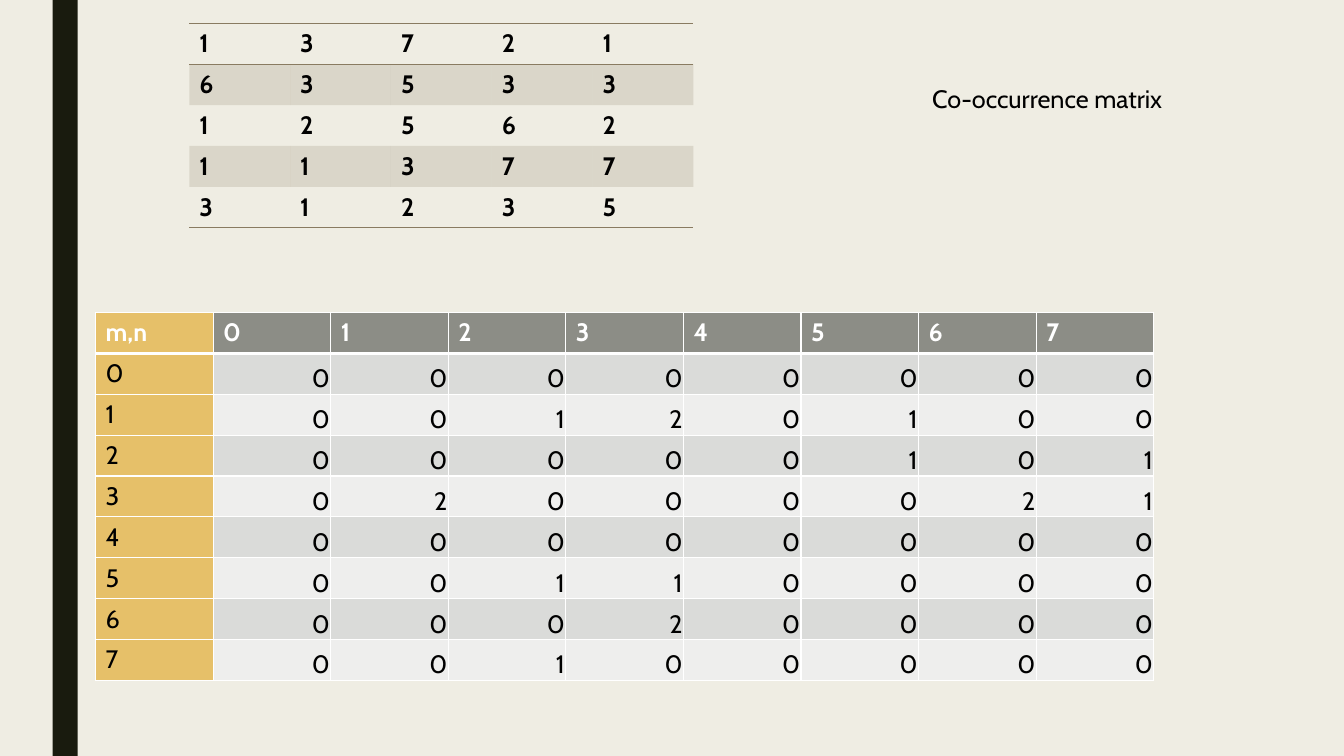
"""Build the co-occurrence matrix slide."""
from dataclasses import dataclass

from lxml import etree
from pptx import Presentation
from pptx import util as u
from pptx.dml.color import RGBColor
from pptx.enum import shapes, text
from pptx.oxml.ns import qn


@dataclass(frozen=True)
class Theme:
    font: str = "Cabin"
    size: float = 18
    paper: str = "EFEDE3"
    bar: str = "191B0E"
    ink: str = "000000"
    white: str = "FFFFFF"
    gold: str = "E6C069"
    header: str = "8C8D86"
    bands: tuple[str, str] = ("EEEEED", "DADBD9")
    brown: str = "897B61"
    band_opacity: int = 20


@dataclass(frozen=True)
class Grid:
    left: float
    top: float
    column: float
    row: float
    values: list[list[str]]


@dataclass(frozen=True)
class CellLook:
    color: str
    bold: bool
    fill: str | None
    borders: dict[str, tuple[str, float]]
    opacity: int = 100
    count: bool = False


THEME = Theme()
LEVELS = [str(level) for level in range(8)]
COUNTS = ["00000000", "00120100", "00000101", "02000021",
          "00000000", "00110000", "00020000", "00100000"]
PIXELS = Grid(135.25, 16.6, 72, 29.2,
              [list(row) for row in ["13721", "63533", "12562", "11377", "31235"]])
MATRIX = Grid(68.25, 223.2, 84, 29.2,
              [["m,n", *LEVELS]] + [[level, *row] for level, row in zip(LEVELS, COUNTS)])


def rgb(color: str) -> RGBColor:
    return RGBColor.from_string(color)


def write(para, words: str, color: str, bold: bool = False) -> None:
    span = para.add_run()
    span.text = words
    span.font.name = THEME.font
    span.font.size = u.Pt(THEME.size)
    span.font.bold = bold
    span.font.color.rgb = rgb(color)


def draw_borders(cell, borders: dict[str, tuple[str, float]]) -> None:
    properties = cell._tc.get_or_add_tcPr()
    for side in "LRTB":
        line = etree.SubElement(properties, qn(f"a:ln{side}"))
        if side in borders:
            color, width = borders[side]
            line.set("w", str(u.Pt(width)))
            solid = etree.SubElement(line, qn("a:solidFill"))
            etree.SubElement(solid, qn("a:srgbClr"), val=color)
        else:
            line.set("w", "0")
            etree.SubElement(line, qn("a:noFill"))


def fill_cell(cell, look: CellLook) -> None:
    if look.fill is None:
        cell.fill.background()
        return
    cell.fill.solid()
    cell.fill.fore_color.rgb = rgb(look.fill)
    if look.opacity < 100:
        tint = cell._tc.tcPr.find(f"{qn('a:solidFill')}/{qn('a:srgbClr')}")
        etree.SubElement(tint, qn("a:alpha"), val=str(look.opacity * 1000))


def pixel_look(row: int, column: int) -> CellLook:
    rule = (THEME.brown, 1)
    sides = {0: "TB", 1: "T", len(PIXELS.values) - 1: "B"}.get(row, "")
    fill = THEME.brown if row % 2 else None
    return CellLook(THEME.ink, True, fill, dict.fromkeys(sides, rule), THEME.band_opacity)


def matrix_look(row: int, column: int) -> CellLook:
    borders = dict.fromkeys("LRTB", (THEME.white, 1))
    if row < 2:
        borders["T" if row else "B"] = (THEME.white, 3)
    body = THEME.bands[row % 2] if row else THEME.header
    return CellLook(THEME.ink if row else THEME.white, row == 0,
                    body if column else THEME.gold, borders,
                    count=row > 0 and column > 0)


def draw_grid(page, grid: Grid, look_at) -> None:
    rows, columns = len(grid.values), len(grid.values[0])
    table = page.shapes.add_table(rows, columns, u.Pt(grid.left), u.Pt(grid.top),
                                  u.Pt(columns * grid.column), u.Pt(rows * grid.row)).table
    table.first_row = table.horz_banding = False
    for column in table.columns:
        column.width = u.Pt(grid.column)
    for r, values in enumerate(grid.values):
        table.rows[r].height = u.Pt(grid.row)
        for c, value in enumerate(values):
            cell, look = table.cell(r, c), look_at(r, c)
            para = cell.text_frame.paragraphs[0]
            if look.count:
                cell.margin_left = cell.margin_right = cell.margin_top = u.Pt(0.75)
                cell.margin_bottom = u.Pt(0)
                cell.vertical_anchor = text.MSO_ANCHOR.BOTTOM
                para.alignment = text.PP_ALIGN.RIGHT
            write(para, value, look.color, look.bold)
            draw_borders(cell, look.borders)
            fill_cell(cell, look)


def draw_bar(page) -> None:
    bar = page.shapes.add_shape(shapes.MSO_SHAPE.RECTANGLE,
                                u.Pt(37.5), u.Pt(0), u.Pt(18), u.Pt(540))
    bar.shadow.inherit = False
    bar.fill.solid()
    bar.fill.fore_color.rgb = rgb(THEME.bar)
    bar.line.fill.background()


def draw_caption(page) -> None:
    box = page.shapes.add_textbox(u.Pt(658.8), u.Pt(56.2), u.Pt(290), u.Pt(29))
    frame = box.text_frame
    frame.word_wrap = True
    frame.auto_size = text.MSO_AUTO_SIZE.SHAPE_TO_FIT_TEXT
    write(frame.paragraphs[0], "Co-occurrence matrix", THEME.ink)


def main() -> None:
    deck = Presentation()
    deck.slide_width, deck.slide_height = u.Pt(960), u.Pt(540)
    page = deck.slides.add_slide(deck.slide_layouts[6])
    page.background.fill.solid()
    page.background.fill.fore_color.rgb = rgb(THEME.paper)
    draw_bar(page)
    draw_grid(page, MATRIX, matrix_look)
    draw_grid(page, PIXELS, pixel_look)
    draw_caption(page)
    deck.save("out.pptx")


if __name__ == "__main__":
    main()
